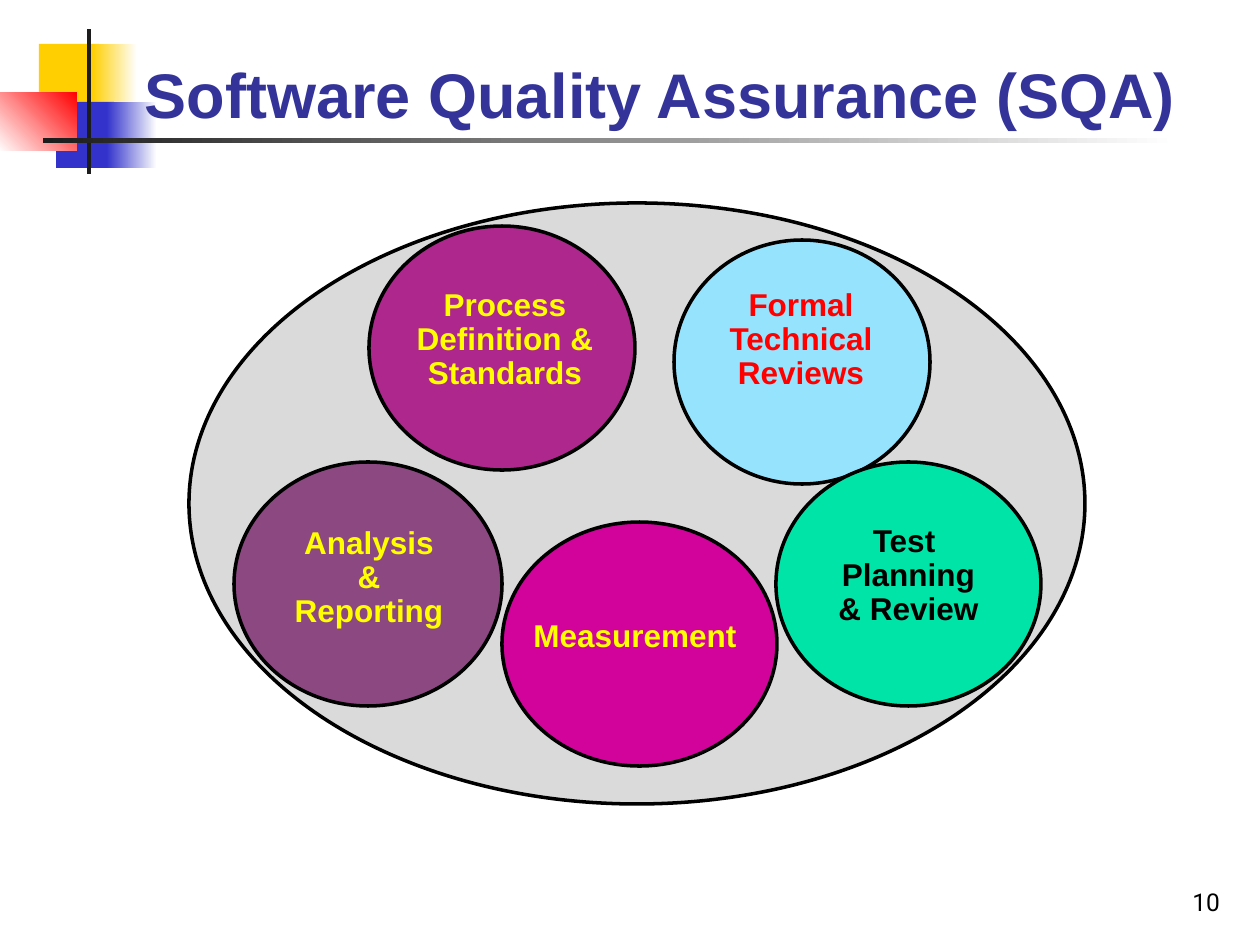
from pptx import Presentation
from pptx.dml.color import RGBColor
from pptx.enum.shapes import MSO_SHAPE
from pptx.enum.text import MSO_ANCHOR, MSO_AUTO_SIZE, PP_ALIGN
from pptx.util import Emu, Pt

PX_PER_INCH = 126
RECT, OVAL = MSO_SHAPE.RECTANGLE, MSO_SHAPE.OVAL
LEFT, CENTER, RIGHT = PP_ALIGN.LEFT, PP_ALIGN.CENTER, PP_ALIGN.RIGHT
TOP, BOTTOM = MSO_ANCHOR.TOP, MSO_ANCHOR.BOTTOM
FIXED, GROW = MSO_AUTO_SIZE.NONE, MSO_AUTO_SIZE.SHAPE_TO_FIT_TEXT

BLACK = RGBColor(0x00, 0x00, 0x00)
WHITE = RGBColor(0xFF, 0xFF, 0xFF)
CHARCOAL = RGBColor(0x1C, 0x1C, 0x1C)
GOLD = RGBColor(0xFF, 0xCF, 0x01)
BLUE = RGBColor(0x33, 0x33, 0xCC)
NAVY = RGBColor(0x33, 0x33, 0x99)
RED = RGBColor(0xFF, 0x00, 0x00)
YELLOW = RGBColor(0xFF, 0xFF, 0x00)
GREY = RGBColor(0xDA, 0xDA, 0xDA)
SKY = RGBColor(0x96, 0xE3, 0xFE)
GREEN = RGBColor(0x00, 0xE4, 0xA8)
MAGENTA = RGBColor(0xD1, 0x03, 0x9B)
PLUM = RGBColor(0x8C, 0x48, 0x81)
PURPLE = RGBColor(0xAD, 0x27, 0x8D)

# Box and fill colours; two colours make a gradient at the given angle.
DECORATION = [
    ((39, 44, 60, 66), [GOLD], 0),
    ((92, 44, 45, 66), [GOLD, WHITE], 0),
    ((56, 102, 58, 66), [BLUE], 0),
    ((107, 102, 50, 66), [BLUE, WHITE], 0),
    ((-1, 92, 78, 59), [WHITE, RED], 45),
    ((87, 29, 4, 145), [CHARCOAL], 0),
    ((43, 138, 1134, 5), [CHARCOAL, WHITE], 0),
]

# Circle box, circle colour, label box, label lines, label colour.
ACTIVITIES = [
    ((674, 240, 256, 244), SKY, (716, 283, 170, 115),
     ["Formal", "Technical", "Reviews"], RED),
    ((776, 462, 265, 244), GREEN, (826, 519, 165, 115),
     ["Test ", "Planning", "& Review"], BLACK),
    ((502, 522, 275, 244), MAGENTA, (521, 614, 228, 47),
     ["Measurement"], YELLOW),
    ((234, 462, 268, 244), PLUM, (282, 521, 174, 115),
     ["Analysis", "&", "Reporting"], YELLOW),
    ((369, 226, 266, 244), PURPLE, (404, 283, 202, 115),
     ["Process", "Definition &", "Standards"], YELLOW),
]


def px(n):
    return Emu(round(n * 914400 / PX_PER_INCH))


def add_band(s, box, colors, angle):
    sp = s.shapes.add_shape(RECT, *map(px, box))
    sp.shadow.inherit = False
    sp.line.fill.background()
    if len(colors) == 1:
        sp.fill.solid()
        sp.fill.fore_color.rgb = colors[0]
    else:
        sp.fill.gradient()
        sp.fill.gradient_angle = angle
        for stop, color in zip(sp.fill.gradient_stops, colors):
            stop.color.rgb = color


def add_ellipse(s, box, color):
    sp = s.shapes.add_shape(OVAL, *map(px, box))
    sp.shadow.inherit = False
    sp.fill.solid()
    sp.fill.fore_color.rgb = color
    sp.line.color.rgb = BLACK
    sp.line.width = Pt(2)


def add_text(s, box, lines, size, color, font="Arial", bold=True, align=LEFT,
             anchor=TOP, spacing=1.0, wrap=True, fit=FIXED, insets=(13, 6)):
    tf = s.shapes.add_textbox(*map(px, box)).text_frame
    tf.word_wrap = wrap
    tf.auto_size = fit
    tf.vertical_anchor = anchor
    tf.margin_left = tf.margin_right = px(insets[0])
    tf.margin_top = tf.margin_bottom = px(insets[1])
    tf.text = "\n".join(lines)
    for p in tf.paragraphs:
        p.alignment = align
        p.line_spacing = spacing
        p.font.name = font
        p.font.size = Pt(size)
        p.font.bold = bold
        p.font.color.rgb = color


def main():
    prs = Presentation()
    prs.slide_width, prs.slide_height = px(1260), px(945)
    s = prs.slides.add_slide(prs.slide_layouts[6])

    for box, colors, angle in DECORATION:
        add_band(s, box, colors, angle)
    add_text(s, (971, 859, 262, 63), ["10"], 14, BLACK, font="Roboto",
             bold=False, align=RIGHT, anchor=BOTTOM)
    add_text(s, (136, 51, 1096, 83), ["Software Quality Assurance (SQA)"],
             36, NAVY, insets=(9, 4))

    add_ellipse(s, (189, 203, 896, 601), GREY)
    for circle, fill, label, lines, color in ACTIVITIES:
        add_ellipse(s, circle, fill)
        add_text(s, label, lines, 18, color, align=CENTER, spacing=0.9,
                 wrap=False, fit=GROW, insets=(10, 6))

    prs.save("out.pptx")


if __name__ == "__main__":
    main()
